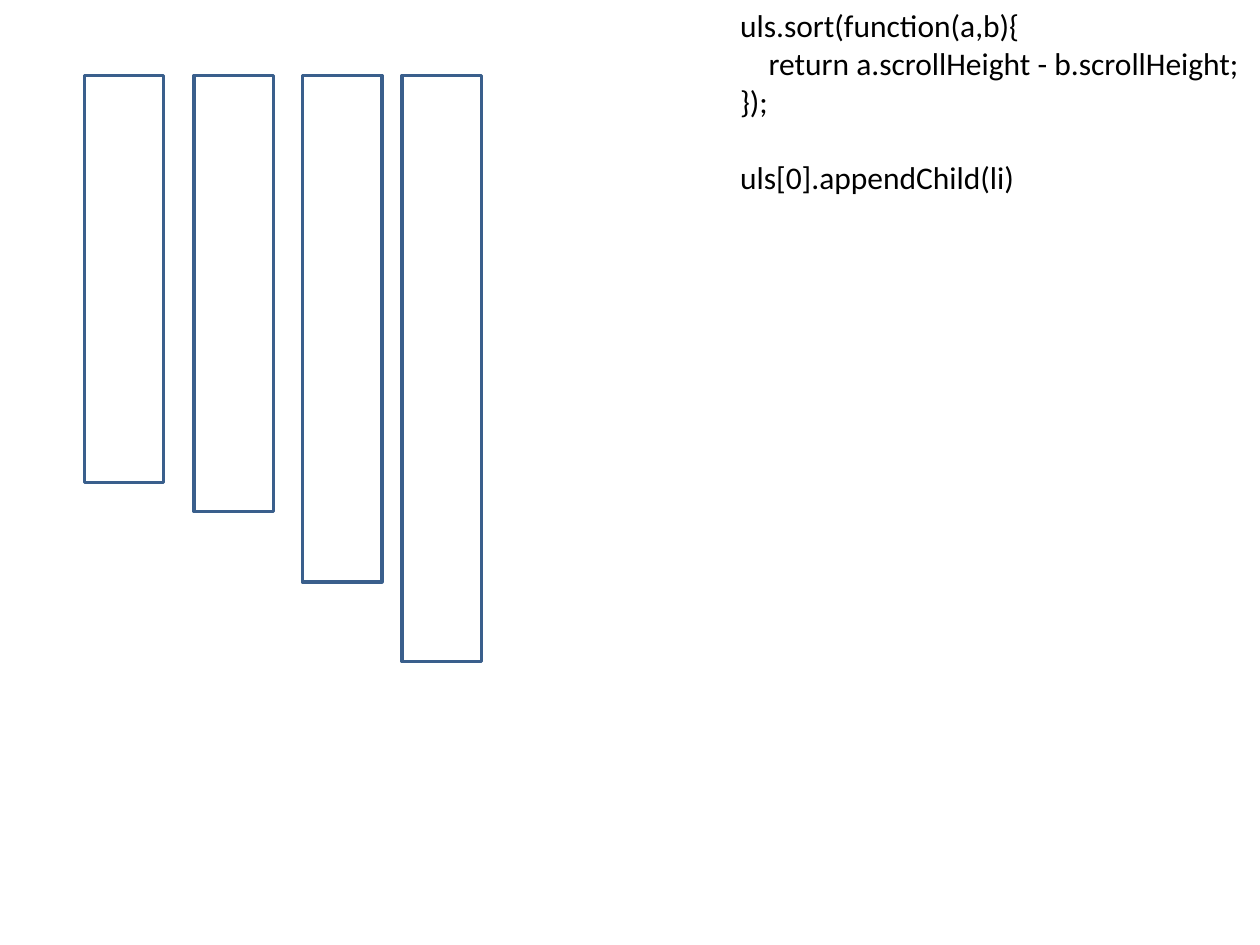
from pptx import Presentation
from pptx.dml.color import RGBColor
from pptx.enum import shapes, text
from pptx.util import Pt

bars = [(48.2, 232.6), (110.9, 249.1), (172.8, 289.4), (229.7, 334.8)]
code = [
    ("uls.sort(function(a,b){", 0, 0),
    ("return\u00a0a.scrollHeight\u00a0-\u00a0b.scrollHeight;", 1, 0),
    ("});", 0, 0),
    ("uls[0].appendChild(li)", 0, 1),
]
theme = {
    "fill": RGBColor.from_string("FFFFFF"),
    "line": RGBColor.from_string("3A5F8C"),
    "ink": RGBColor.from_string("000000"),
    "font": "Calibri",
    "size": Pt(18),
    "edge": Pt(2),
}
top, wide = 43.2, 45.4
base, step, gap = 40.7, 16.3, 22

deck = Presentation()
deck.slide_width, deck.slide_height = Pt(720), Pt(540)
slide = deck.slides.add_slide(deck.slide_layouts[6])

for left, high in bars:
    bar = slide.shapes.add_shape(
        shapes.MSO_SHAPE.RECTANGLE, Pt(left), Pt(top), Pt(wide), Pt(high))
    bar.shadow.inherit = False
    bar.fill.solid()
    bar.fill.fore_color.rgb = theme["fill"]
    bar.line.color.rgb = theme["line"]
    bar.line.width = theme["edge"]

box = slide.shapes.add_textbox(Pt(375.1), Pt(0), Pt(344.9), Pt(138.2))
frame = box.text_frame
frame.word_wrap = True
frame.auto_size = text.MSO_AUTO_SIZE.NONE
for row, (line, depth, skip) in enumerate(code):
    para = frame.add_paragraph() if row else frame.paragraphs[0]
    para.text = line
    para.space_before = Pt(skip * gap)
    props = para._p.get_or_add_pPr()
    props.set("marL", str(Pt(base + depth * step)))
    props.set("indent", "0")
    para.font.name = theme["font"]
    para.font.size = theme["size"]
    para.font.color.rgb = theme["ink"]

deck.save("out.pptx")
